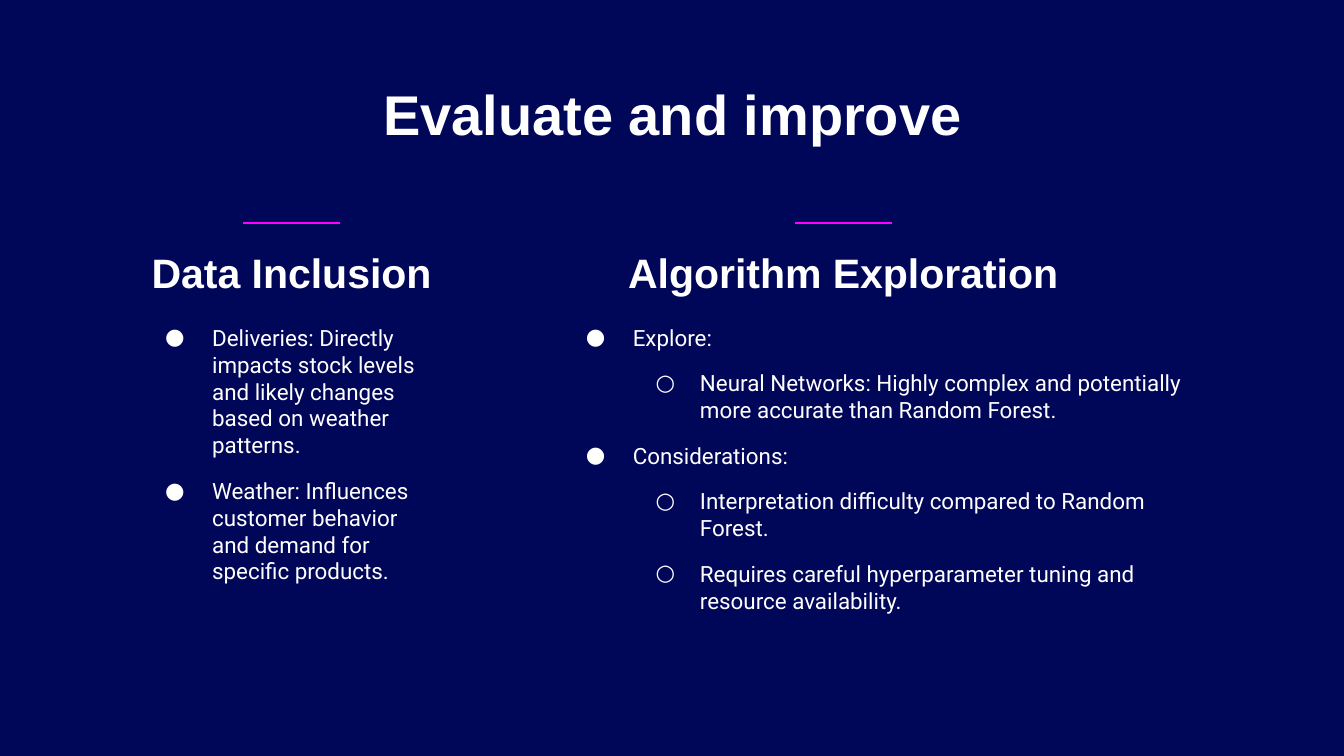
from lxml.etree import SubElement
from pptx import Presentation
from pptx.dml.color import RGBColor
from pptx.enum.shapes import MSO_CONNECTOR
from pptx.enum.text import MSO_ANCHOR, PP_ALIGN
from pptx.oxml.ns import qn
from pptx.util import Inches, Pt

hues = {"navy": "000658", "white": "FFFFFF", "pink": "FF00FF"}
marks = [("●", 0.5, 0.35), ("○", 1, 0.33)]

deck = Presentation()
deck.slide_width = Inches(10)
deck.slide_height = Inches(10 * 9 / 16)
slide = deck.slides.add_slide(deck.slide_layouts[6])
fill = slide.background.fill
fill.solid()
fill.fore_color.rgb = RGBColor.from_string(hues["navy"])


def add_text(box, lines, size, face, bold=False, anchor=MSO_ANCHOR.TOP):
    frame = slide.shapes.add_textbox(*map(Inches, box)).text_frame
    frame.word_wrap = True
    frame.vertical_anchor = anchor
    frame.margin_left = frame.margin_right = Inches(0.1)
    frame.margin_top = frame.margin_bottom = Inches(0.1)
    for i, (level, words) in enumerate(lines):
        para = frame.paragraphs[0] if i == 0 else frame.add_paragraph()
        para.text = words
        if level is None:
            para.alignment = PP_ALIGN.CENTER
        else:
            add_mark(para, level, face)
        if i:
            para.space_before = Pt(10)
        font = para.font
        font.size, font.name, font.bold = Pt(size), face, bold
        font.color.rgb = RGBColor.from_string(hues["white"])


def add_mark(para, level, face):
    sign, left, hang = marks[level]
    para.level = level
    props = para._p.get_or_add_pPr()
    props.set("marL", str(Inches(left)))
    props.set("indent", str(-Inches(hang)))
    tint = SubElement(props, qn("a:buClr"))
    SubElement(tint, qn("a:srgbClr"), val=hues["white"])
    SubElement(props, qn("a:buSzPts"), val="1200")
    SubElement(props, qn("a:buFont"), typeface=face)
    SubElement(props, qn("a:buChar"), char=sign)


add_text((0.79, 0.49, 8.43, 0.63), [(None, "Evaluate and improve")], 30, "Arial", True)

parts = [
    ("Data Inclusion", 0.98, 2.38, 0.98, 2.38, [
        (0, "Deliveries: Directly impacts stock levels and likely changes based on weather patterns."),
        (0, "Weather: Influences customer behavior and demand for specific products."),
    ]),
    ("Algorithm Exploration", 4.21, 4.13, 4.11, 4.92, [
        (0, "Explore:"),
        (1, "Neural Networks: Highly complex and potentially more accurate than Random Forest."),
        (0, "Considerations:"),
        (1, "Interpretation difficulty compared to Random Forest."),
        (1, "Requires careful hyperparameter tuning and resource availability."),
    ]),
]
for head, left, width, start, span, points in parts:
    add_text((start, 2.31, span, 1.65), points, 12, "Roboto")
    add_text((left, 1.79, width, 0.52), [(None, head)], 22, "Arial", True, MSO_ANCHOR.BOTTOM)
    mid = left + width / 2
    rule = slide.shapes.add_connector(
        MSO_CONNECTOR.STRAIGHT,
        Inches(mid - 0.36), Inches(1.66), Inches(mid + 0.36), Inches(1.66),
    )
    rule.line.color.rgb = RGBColor.from_string(hues["pink"])
    rule.line.width = Pt(1.5)
    SubElement(rule._element.spPr, qn("a:effectLst"))

deck.save("out.pptx")
